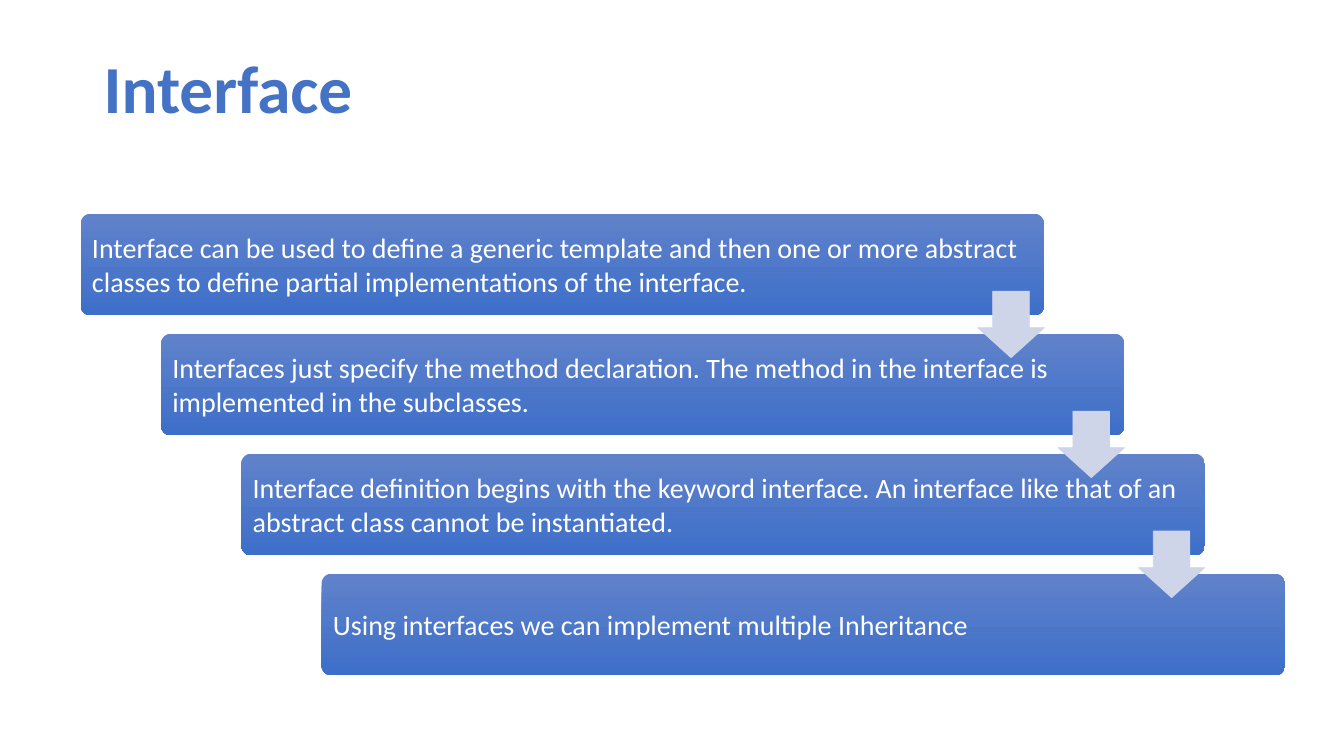
from pptx import Presentation
from pptx.dml.color import RGBColor
from pptx.enum.shapes import MSO_SHAPE
from pptx.enum.text import MSO_ANCHOR, PP_ALIGN
from pptx.util import Pt

STEPS = [
    "Interface can be used to define a generic template and then one or more "
    "abstract classes to define partial implementations of the interface.",
    "Interfaces just specify the method declaration. The method in the "
    "interface is implemented in the subclasses.",
    "Interface definition begins with the keyword interface. An interface "
    "like that of an abstract class cannot be instantiated.",
    "Using interfaces we can implement multiple Inheritance",
]


def color(hex_string):
    return RGBColor.from_string(hex_string)


def add_text(tf, text, size, hex_string, bold=False):
    tf.word_wrap = True
    tf.vertical_anchor = MSO_ANCHOR.MIDDLE
    p = tf.paragraphs[0]
    p.alignment = PP_ALIGN.LEFT
    r = p.add_run()
    r.text = text
    r.font.name = "Calibri"
    r.font.size = Pt(size)
    r.font.bold = bold
    r.font.color.rgb = color(hex_string)
    return p


def add_title(s, x, y, w, h):
    tf = s.shapes.add_textbox(Pt(x), Pt(y), Pt(w), Pt(h)).text_frame
    add_text(tf, "Interface", 48, "4472C4", bold=True)


def add_step(s, text, x, y, w, h):
    sp = s.shapes.add_shape(MSO_SHAPE.ROUNDED_RECTANGLE, Pt(x), Pt(y), Pt(w), Pt(h))
    sp.shadow.inherit = False
    sp.adjustments[0] = 0.1
    sp.line.fill.background()
    # Vertical gradient, lighter at the top
    sp.fill.gradient()
    sp.fill.gradient_angle = 270
    for stop, shade in zip(sp.fill.gradient_stops, ("6082CA", "3D6FC9")):
        stop.color.rgb = color(shade)
    tf = sp.text_frame
    tf.margin_left = tf.margin_right = tf.margin_top = tf.margin_bottom = Pt(6)
    add_text(tf, text, 20, "FFFFFF").space_after = Pt(7)


def add_arrow(s, x, y, size):
    sp = s.shapes.add_shape(MSO_SHAPE.DOWN_ARROW, Pt(x), Pt(y), Pt(size), Pt(size))
    sp.shadow.inherit = False
    # Head length first, then shaft width
    sp.adjustments[0] = 0.55
    sp.adjustments[1] = 0.45
    sp.fill.solid()
    sp.fill.fore_color.rgb = color("CFD5E9")
    sp.line.color.rgb = color("CFD5E9")
    sp.line.width = Pt(0.5)


def add_staircase(s, x, y, w, h):
    step_w, step_h, arrow = w * 0.8, 72.7, 47.5
    dx = (w - step_w) / (len(STEPS) - 1)
    dy = (h - step_h) / (len(STEPS) - 1)
    # Steps
    for i, text in enumerate(STEPS):
        add_step(s, text, x + i * dx, y + i * dy, step_w, step_h)
    # Arrows at the right end of each step but the last
    for i in range(len(STEPS) - 1):
        add_arrow(s, x + i * dx + step_w - arrow, y + i * dy + 55.4, arrow)


def main():
    prs = Presentation()
    prs.slide_width, prs.slide_height = Pt(960), Pt(540)
    s = prs.slides.add_slide(prs.slide_layouts[6])
    add_title(s, 67, 29, 470, 66)
    add_staircase(s, 57.6, 152.6, 860.4, 329.8)
    prs.save("out.pptx")


if __name__ == "__main__":
    main()
